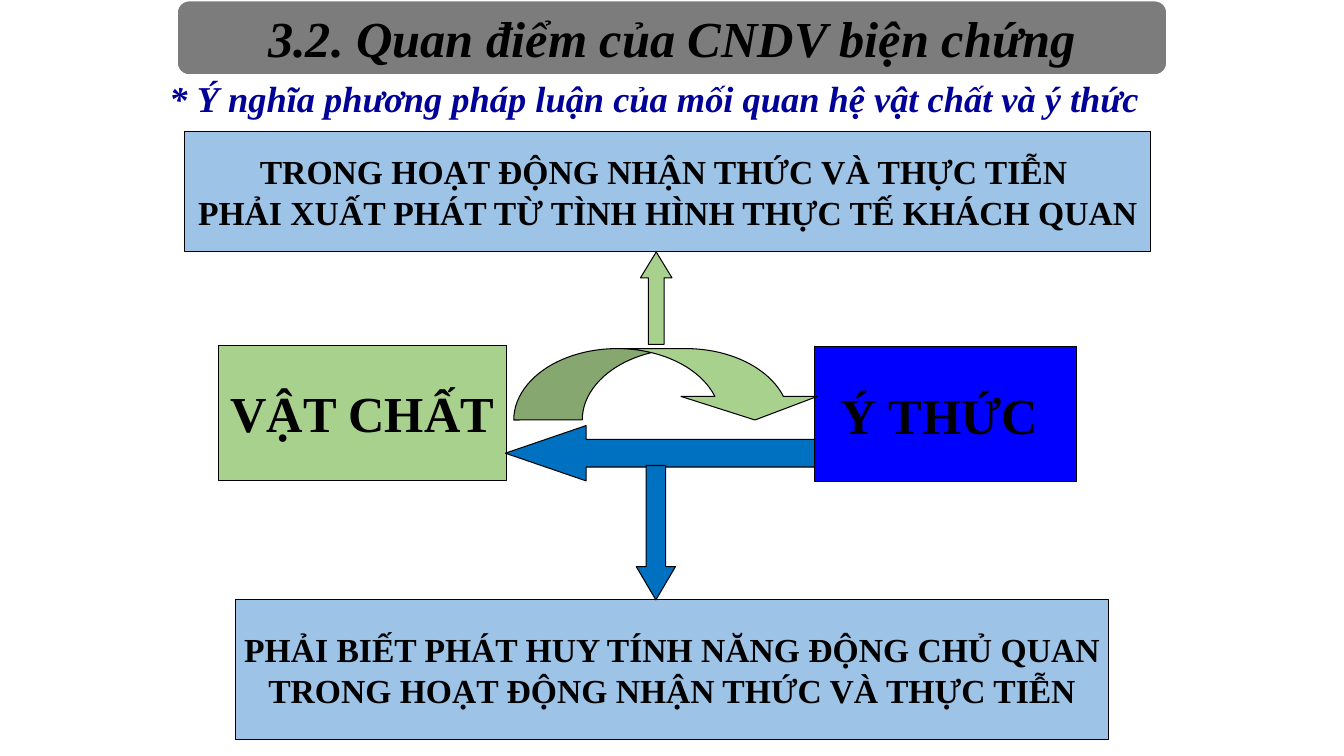
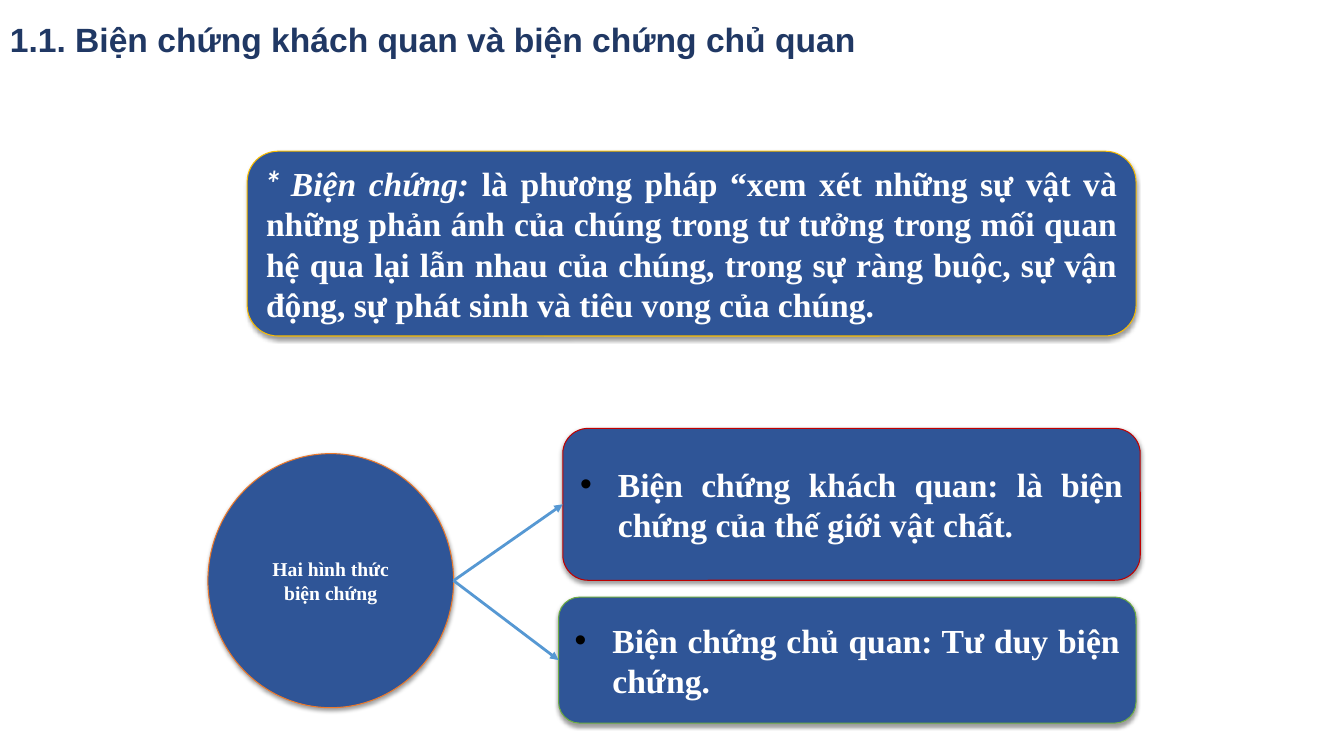
from dataclasses import dataclass, field
from typing import Any, Optional

import pptx
import pptx.dml.color
import pptx.enum.shapes
import pptx.enum.text
import pptx.oxml
import pptx.oxml.ns
import pptx.util
from lxml import etree

Pt = pptx.util.Pt
Geometry = pptx.enum.shapes.MSO_SHAPE
Align = pptx.enum.text.PP_ALIGN
Anchor = pptx.enum.text.MSO_ANCHOR
qn = pptx.oxml.ns.qn

BLACK, WHITE = "000000", "FFFFFF"
GREEN, BLUE, SKY = "A9D18E", "0070C0", "9DC3E6"
NAVY = "2F5597"
SERIF = {"name": "Times New Roman", "bold": True}
BULLET_INDENT = Pt(27)


@dataclass(frozen=True)
class Box:
    left: float
    top: float
    width: float
    height: float

    @property
    def middle(self) -> float:
        return self.top + self.height / 2

    def lengths(self) -> list[int]:
        return [Pt(v) for v in (self.left, self.top, self.width, self.height)]


@dataclass(frozen=True)
class Run:
    text: str
    format: dict[str, Any] = field(default_factory=dict)


@dataclass(frozen=True)
class Text:
    paragraphs: list[list[Run]]
    size: float
    color: str
    align: Any = Align.CENTER
    wrap: bool = True
    bullet: bool = False
    format: dict[str, Any] = field(default_factory=dict)


@dataclass(frozen=True)
class Block:
    box: Box
    fill: str
    text: Optional[Text] = None
    geometry: Any = Geometry.RECTANGLE
    line: str = BLACK
    line_width: float = 0.75
    adjustments: tuple[float, ...] = ()
    shadow: bool = False


def rgb(color: str) -> pptx.dml.color.RGBColor:
    return pptx.dml.color.RGBColor.from_string(color)


def add_bullet(paragraph) -> None:
    """Give the paragraph a black round bullet with a hanging indent."""
    properties = paragraph._p.get_or_add_pPr()
    properties.set("marL", str(BULLET_INDENT))
    properties.set("indent", str(-BULLET_INDENT))
    color = etree.SubElement(properties, qn("a:buClr"))
    etree.SubElement(color, qn("a:srgbClr"), val=BLACK)
    etree.SubElement(properties, qn("a:buFont"), typeface="Arial")
    etree.SubElement(properties, qn("a:buChar"), char="•")


def write_text(frame, text: Text) -> None:
    frame.word_wrap = text.wrap
    for index, runs in enumerate(text.paragraphs):
        paragraph = frame.add_paragraph() if index else frame.paragraphs[0]
        paragraph.alignment = text.align
        if text.bullet:
            add_bullet(paragraph)
        for part in runs:
            run = paragraph.add_run()
            run.text = part.text
            run.font.color.rgb = rgb(text.color)
            font_format = {**SERIF, "size": Pt(text.size), **text.format, **part.format}
            for name, value in font_format.items():
                setattr(run.font, name, value)


def add_soft_shadow(shape) -> None:
    effects = shape._element.spPr.find(qn("a:effectLst"))
    shadow = etree.SubElement(
        effects, qn("a:outerShdw"), blurRad=str(Pt(3.1)), dist=str(Pt(1.6)),
        dir=str(90 * 60000), algn="ctr", rotWithShape="0")
    color = etree.SubElement(shadow, qn("a:srgbClr"), val=BLACK)
    etree.SubElement(color, qn("a:alpha"), val="38000")


def add_block(slide, block: Block) -> None:
    shape = slide.shapes.add_shape(block.geometry, *block.box.lengths())
    shape.fill.solid()
    shape.fill.fore_color.rgb = rgb(block.fill)
    shape.line.color.rgb = rgb(block.line)
    shape.line.width = Pt(block.line_width)
    shape.shadow.inherit = False
    for index, value in enumerate(block.adjustments):
        shape.adjustments[index] = value
    if block.shadow:
        add_soft_shadow(shape)
    if block.text:
        shape.text_frame.vertical_anchor = Anchor.MIDDLE
        write_text(shape.text_frame, block.text)


def add_heading(slide, box: Box, text: Text) -> None:
    write_text(slide.shapes.add_textbox(*box.lengths()).text_frame, text)


def add_arrow(slide, start: tuple[float, float], end: tuple[float, float]) -> None:
    arrow = slide.shapes.add_connector(
        pptx.enum.shapes.MSO_CONNECTOR.STRAIGHT, *[Pt(v) for v in start + end])
    arrow.line.color.rgb = rgb("5698D3")
    arrow.line.width = Pt(2)
    etree.SubElement(arrow.line._get_or_add_ln(), qn("a:tailEnd"), type="triangle")
    etree.SubElement(arrow._element.spPr, qn("a:effectLst"))


def label(size: float, *lines: str) -> Text:
    """Centred black text that keeps its own line division."""
    return Text([[Run(line)] for line in lines], size, BLACK, wrap=False)


def build_methodology(slide) -> None:
    blocks = [
        Block(Box(156, 246.5, 205.5, 96.5), GREEN, label(36, "VẬT CHẤT")),
        Block(Box(582, 247.5, 187, 96.5), "0000FF", label(36, "Ý THỨC ")),
        Block(Box(367, 249, 221, 51), GREEN, geometry=Geometry.CURVED_DOWN_ARROW,
              adjustments=(0.96, 1.91, 0.33)),
        Block(Box(361, 304, 221, 39.5), BLUE, geometry=Geometry.LEFT_ARROW,
              adjustments=(0.5, 1.46)),
        Block(Box(457.5, 180, 22.5, 66), GREEN, geometry=Geometry.UP_ARROW,
              adjustments=(0.5, 0.82)),
        Block(Box(132, 94, 690, 85.5), SKY, label(
            24, "TRONG HOẠT ĐỘNG NHẬN THỨC VÀ THỰC TIỄN ",
            "PHẢI XUẤT PHÁT TỪ TÌNH HÌNH THỰC TẾ KHÁCH QUAN")),
        Block(Box(168, 428.5, 624, 99.5), SKY, label(
            24, "PHẢI BIẾT PHÁT HUY TÍNH NĂNG ĐỘNG CHỦ QUAN",
            "TRONG HOẠT ĐỘNG NHẬN THỨC VÀ THỰC TIỄN")),
        Block(Box(454.5, 332.5, 28, 96), BLUE, geometry=Geometry.DOWN_ARROW,
              adjustments=(0.5, 0.85)),
        Block(Box(126, 0, 708, 54), "7C7C7C",
              Text([[Run("3.2. Quan điểm của CNDV biện chứng")]], 36, BLACK,
                   format={"italic": True}),
              Geometry.ROUNDED_RECTANGLE, WHITE, 2),
    ]
    for block in blocks:
        add_block(slide, block)
    add_heading(slide, Box(114, 51, 728.5, 39), Text(
        [[Run("* Ý nghĩa phương pháp luận của mối quan hệ vật chất và ý thức")]],
        26, "000099", Align.LEFT, format={"italic": True}))


def build_dialectics(slide) -> None:
    definition = Text([[
        Run("* ", {"name": "Lato", "italic": True}),
        Run("Biện chứng: ", {"italic": True}),
        Run("là phương pháp “xem xét những sự vật và những phản ánh của chúng "
            "trong tư tưởng trong mối quan hệ qua lại lẫn nhau của chúng, trong sự "
            "ràng buộc, sự vận động, sự phát sinh và tiêu vong của chúng."),
    ]], 24, WHITE, Align.JUSTIFY)
    forms = Text([[Run("Hai hình thức biện chứng")]], 14, WHITE)
    objective, subjective = [
        Text([[Run(sentence)]], 24, WHITE, Align.JUSTIFY, bullet=True)
        for sentence in ("Biện chứng khách quan: là biện chứng của thế giới vật chất.",
                         "Biện chứng chủ quan: Tư duy biện chứng.")]

    forms_box = Box(148.5, 324, 175.5, 181.5)
    objective_box = Box(402, 306, 412.5, 108.5)
    subjective_box = Box(399, 426.5, 412.5, 90)
    rounded = Geometry.ROUNDED_RECTANGLE
    for box, text, geometry, line in (
            (Box(176.5, 108, 635, 132), definition, rounded, "F9BC00"),
            (forms_box, forms, Geometry.OVAL, "EC792B"),
            (objective_box, objective, rounded, "C00000"),
            (subjective_box, subjective, rounded, "6DAC43")):
        add_block(slide, Block(box, NAVY, text, geometry, line, shadow=True))

    start = (forms_box.left + forms_box.width, forms_box.middle)
    for target in (objective_box, subjective_box):
        add_arrow(slide, start, (target.left, target.middle))
    add_heading(slide, Box(0, 10, 685.5, 36), Text(
        [[Run("1.1. Biện chứng khách quan và biện chứng chủ quan")]],
        24, "203864", Align.LEFT, format={"name": "Arial"}))


def main() -> None:
    deck = pptx.Presentation()
    deck.slide_width, deck.slide_height = Pt(960), Pt(540)
    blank = deck.slide_layouts[6]
    for build in (build_methodology, build_dialectics):
        build(deck.slides.add_slide(blank))
    deck.save("out.pptx")


if __name__ == "__main__":
    main()
